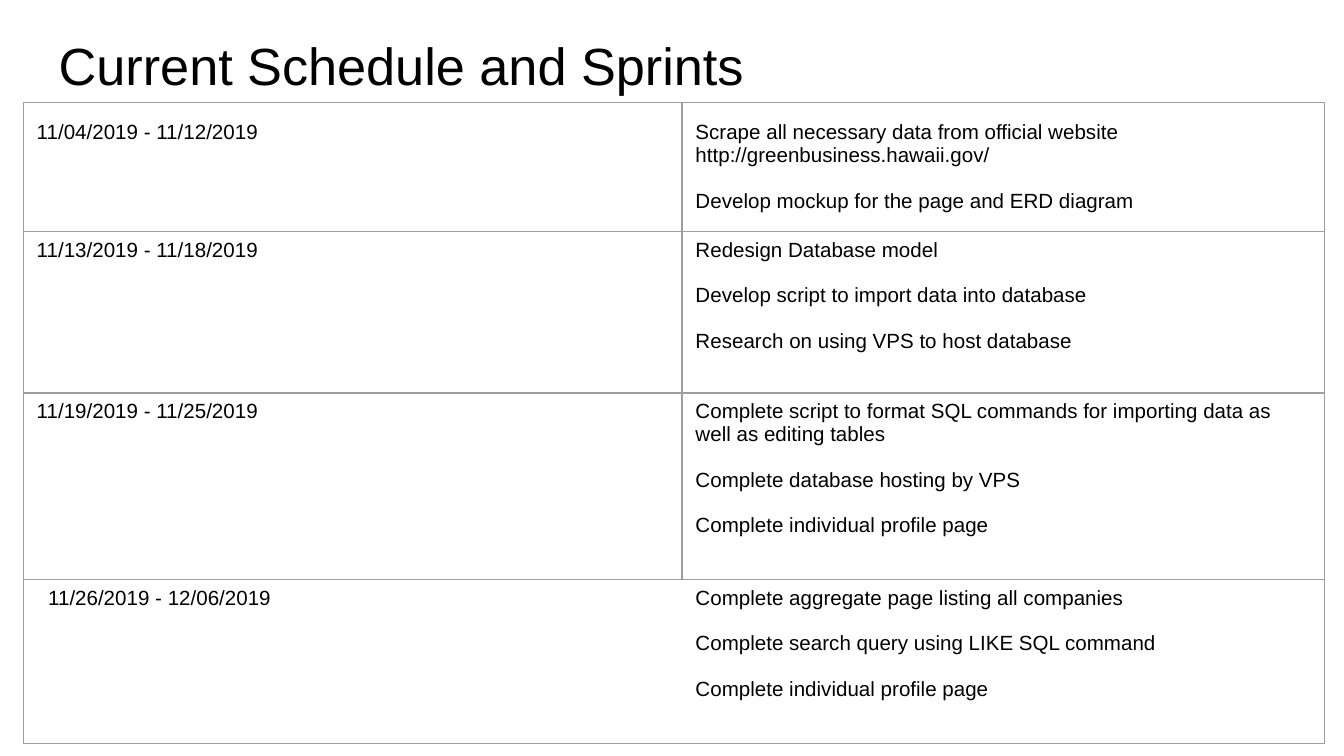
import pptx
import pptx.util
import pptx.dml.color
import pptx.enum.text
import pptx.oxml
import pptx.oxml.ns

Cm = pptx.util.Cm
Pt = pptx.util.Pt
BLACK = pptx.dml.color.RGBColor(0x00, 0x00, 0x00)
GREY = pptx.dml.color.RGBColor(0x9E, 0x9E, 0x9E)

COLUMN_WIDTHS = [12.45, 12.14]
ROW_HEIGHTS = [2.44, 3.05, 3.53, 3.1]
TASK_GAP = 12.3

# Each sprint: dates, then tasks; a task is a list of its paragraphs
SPRINTS = [
    ("11/04/2019 - 11/12/2019", [
        ["Scrape all necessary data from official website",
         "http://greenbusiness.hawaii.gov/"],
        ["Develop mockup for the page and ERD diagram"]]),
    ("11/13/2019 - 11/18/2019", [
        ["Redesign Database model"],
        ["Develop script to import data into database"],
        ["Research on using VPS to host database"]]),
    ("11/19/2019 - 11/25/2019", [
        ["Complete script to format SQL commands for importing data as "
         "well as editing tables"],
        ["Complete database hosting by VPS"],
        ["Complete individual profile page"]]),
    ("11/26/2019 - 12/06/2019", [
        ["Complete aggregate page listing all companies"],
        ["Complete search query using LIKE SQL command"],
        ["Complete individual profile page"]]),
]


def write(para, text, size=11, before=0, spacing=1.0):
    para.alignment = pptx.enum.text.PP_ALIGN.LEFT
    para.space_before = Pt(before)
    para.line_spacing = spacing
    span = para.add_run()
    span.text = text
    span.font.name = "Arial"
    span.font.size = Pt(size)
    span.font.color.rgb = BLACK


def set_borders(cell, hidden=""):
    """Draw the four sides of a cell, except the hidden one (L, R, T or B)."""
    properties = cell._tc.get_or_add_tcPr()
    for index, side in enumerate("LRTB"):
        if side == hidden:
            paint = "<a:noFill/>"
        else:
            paint = f'<a:solidFill><a:srgbClr val="{GREY}"/></a:solidFill>'
        line = pptx.oxml.parse_xml(
            f'<a:ln{side} {pptx.oxml.ns.nsdecls("a")} w="{Pt(0.75)}">'
            f"{paint}</a:ln{side}>")
        properties.insert(index, line)


def add_title(page, left, top, width, height):
    box = page.shapes.title
    box.left, box.top = Cm(left), Cm(top)
    box.width, box.height = Cm(width), Cm(height)
    frame = box.text_frame
    frame.word_wrap = True
    frame.auto_size = pptx.enum.text.MSO_AUTO_SIZE.NONE
    frame.vertical_anchor = pptx.enum.text.MSO_ANCHOR.TOP
    frame.margin_left = frame.margin_right = Cm(0.25)
    frame.margin_top, frame.margin_bottom = Cm(0.37), Cm(0)
    write(frame.paragraphs[0], "Current Schedule and Sprints", size=28)


def add_schedule(page, left, top):
    table = page.shapes.add_table(
        len(SPRINTS), len(COLUMN_WIDTHS), Cm(left), Cm(top),
        Cm(sum(COLUMN_WIDTHS)), Cm(sum(ROW_HEIGHTS))).table
    table.first_row = table.horz_banding = False
    for column, width in zip(table.columns, COLUMN_WIDTHS):
        column.width = Cm(width)
    for row, height in zip(table.rows, ROW_HEIGHTS):
        row.height = Cm(height)

    last = len(SPRINTS) - 1
    for index, (dates, tasks) in enumerate(SPRINTS):
        date_cell, task_cell = table.cell(index, 0), table.cell(index, 1)
        # The last row has no line between its cells
        for cell, inner_side in ((date_cell, "R"), (task_cell, "L")):
            cell.fill.background()
            set_borders(cell, hidden=inner_side if index == last else "")

        # The first row opens with a taller line
        opening = 1.5 if index == 0 else 1.0
        write(date_cell.text_frame.paragraphs[0], dates, spacing=opening)
        frame = task_cell.text_frame
        for number, task in enumerate(tasks):
            for part, text in enumerate(task):
                first = number == part == 0
                para = frame.paragraphs[0] if first else frame.add_paragraph()
                write(para, text, spacing=opening if first else 1.0,
                      before=TASK_GAP if number and part == 0 else 0)
    # The last dates are slightly indented
    table.cell(last, 0).margin_left = Cm(0.47)


def main():
    deck = pptx.Presentation()
    deck.slide_width, deck.slide_height = Cm(25.4), Cm(14.29)
    page = deck.slides.add_slide(deck.slide_layouts[5])
    add_title(page, 0.86, 0.25, 23.67, 1.6)
    add_schedule(page, 0.44, 1.94)
    deck.save("out.pptx")


if __name__ == "__main__":
    main()
